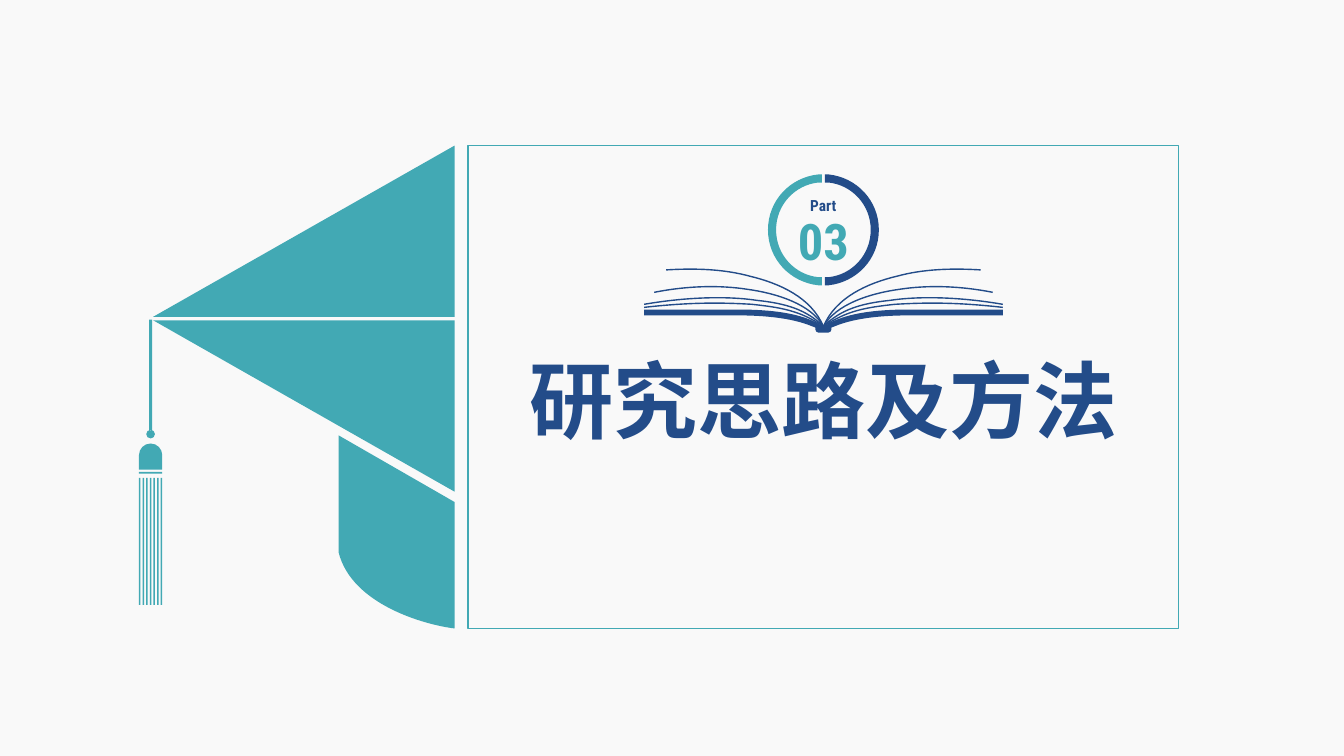
"""Build the section slide with a graduation cap, an open book and a framed title."""
from dataclasses import dataclass
from typing import Optional

from lxml.etree import Element, SubElement
from pptx import Presentation
from pptx.dml.color import RGBColor
from pptx.enum.shapes import MSO_SHAPE
from pptx.enum.text import MSO_ANCHOR, MSO_AUTO_SIZE, PP_ALIGN
from pptx.oxml.ns import qn
from pptx.util import Pt

TEAL = RGBColor(0x42, 0xA9, 0xB4)
NAVY = RGBColor(0x23, 0x4C, 0x89)
PAPER = RGBColor(0xF9, 0xF9, 0xF9)
SPINE = 588.2
ROUND = 0.55

Outline = list[tuple[float, ...]]


@dataclass
class Label:
    text: str
    x: float
    y: float
    w: float
    h: float
    size: float
    font: str
    color: RGBColor


def box(x: float, y: float, w: float, h: float) -> Outline:
    """Return the corners of a rectangle."""
    return [(x, y), (x + w, y), (x + w, y + h), (x, y + h)]


def dome(cx: float, cy: float, r: float) -> Outline:
    """Return a half circle, from its left end over the top when r is positive."""
    k = r * ROUND
    return [(cx - r, cy), (cx - r, cy - k, cx - k, cy - r, cx, cy - r),
            (cx + k, cy - r, cx + r, cy - k, cx + r, cy)]


def mirror(outline: Outline) -> Outline:
    """Reflect an outline across the book's spine."""
    return [tuple(v if i % 2 else 2 * SPINE - v for i, v in enumerate(seg)) for seg in outline]


def backward(outline: Outline) -> Outline:
    """Return the outline walked from its end to its start."""
    ends = [seg[-2:] for seg in outline]
    turned = [ends[-1]]
    for end, seg in zip(ends[-2::-1], outline[:0:-1]):
        turned.append(end if len(seg) == 2 else seg[2:4] + seg[:2] + end)
    return turned


def bend(sp, segments: Outline) -> None:
    """Join each run of three line points that belongs to a curve."""
    lines = iter(list(sp._element.iter(qn("a:lnTo"))))
    for seg in segments:
        parts = [next(lines) for _ in range(len(seg) // 2)]
        if len(parts) == 3:
            curve = Element(qn("a:cubicBezTo"))
            parts[0].addprevious(curve)
            for part in parts:
                curve.append(part[0])
                part.getparent().remove(part)


def paint(sp, fill: Optional[RGBColor] = None, line: Optional[RGBColor] = None) -> None:
    """Set fill and line, and drop the shadow."""
    sp.shadow.inherit = False
    if fill is None:
        sp.fill.background()
    else:
        sp.fill.solid()
        sp.fill.fore_color.rgb = fill
    if line is None:
        sp.line.fill.background()
    else:
        sp.line.color.rgb = line
        sp.line.width = Pt(1)


def draw(s, outlines: list[Outline], color: RGBColor, filled: bool = True) -> None:
    """Draw outlines as one filled shape or as an open stroke."""
    builder = None
    for (x, y), *segments in outlines:
        if builder is None:
            builder = s.shapes.build_freeform(Pt(x), Pt(y))
        else:
            builder.move_to(Pt(x), Pt(y))
        points = [(Pt(seg[i]), Pt(seg[i + 1])) for seg in segments for i in range(0, len(seg), 2)]
        builder.add_line_segments(points, close=filled)
    sp = builder.convert_to_shape()
    bend(sp, [seg for outline in outlines for seg in outline[1:]])
    paint(sp, color if filled else None, None if filled else color)


def write(sp, label: Label) -> None:
    """Put one centred bold run into a shape."""
    tf = sp.text_frame
    tf.margin_left = tf.margin_right = tf.margin_top = tf.margin_bottom = 0
    tf.vertical_anchor = MSO_ANCHOR.MIDDLE
    tf.word_wrap = True
    p = tf.paragraphs[0]
    p.alignment = PP_ALIGN.CENTER
    r = p.add_run()
    r.text = label.text
    r.font.size = Pt(label.size)
    r.font.bold = True
    r.font.color.rgb = label.color
    r.font.name = label.font
    SubElement(r.font._element, qn("a:ea"), typeface=label.font)


def frame(s, kind: MSO_SHAPE, x: float, y: float, w: float, h: float):
    """Add a preset shape measured in points."""
    return s.shapes.add_shape(kind, Pt(x), Pt(y), Pt(w), Pt(h))


RING = [(589.3, 124.6), (591.8, 124.6), (612, 126.7, 627.8, 143.3, 627.8, 164.2),
        (627.8, 185.1, 612, 201.6, 591.8, 203.8), (589.3, 203.8), (589.3, 198), (591.8, 198),
        (608.4, 196.4, 622, 182.2, 622, 164.2), (622, 146.2, 608.4, 132.1, 591.8, 130.4),
        (589.3, 130.4)]

CAP = [
    [(324.7, 104), (109.4, 226.3), (324.7, 226.3)],
    [(109.4, 228.8), (324.7, 351.2), (324.7, 228.8)],
    [(241.9, 394.6), (251.3, 432, 303.8, 446.4, 324.7, 448.9), (324.7, 358.6), (241.9, 311)],
]

KNOT, LEFT, WIDTH = 107.6, 99.3, 16.6
STRANDS, STRAND_WIDTH = 7, 1.1
STEP = (WIDTH - STRAND_WIDTH) / (STRANDS - 1)
TASSEL = [
    box(KNOT - 1.1, 228.4, 2.2, 79),
    dome(KNOT, 310.1, 3.1) + dome(KNOT, 310.1, -3.1)[1:],
    dome(KNOT, 325.1, WIDTH / 2) + [(LEFT + WIDTH, 335.4), (LEFT, 335.4)],
    box(LEFT, 337, WIDTH, 1.3),
] + [box(LEFT + i * STEP, 341.3, STRAND_WIDTH, 90.7) for i in range(STRANDS)]

PAGES = [
    [(576, 221, 560.9, 216.7, 540.7, 214.6), (522, 211.7, 493.2, 211.7, 460.1, 217.4)],
    [(571.7, 221.8, 557.3, 219.6, 537.1, 217.4), (514.1, 216, 491.8, 216, 460.1, 219.6)],
    [(579.6, 217.4, 555.1, 209.5, 533.5, 206.6), (515.5, 203.8, 492.5, 203.8, 467.3, 208.8)],
    [(579.6, 212.4, 556.6, 202.3, 535.7, 197.3), (517, 192.2, 496.8, 191.5, 475.9, 192.8)],
]

COVER = [
    (SPINE, 237.6), (584.6, 237.6), (583.2, 237.6, 582.5, 236.2, 582.5, 235.4),
    (582.5, 234), (576.7, 231.8), (564.5, 227.5, 547.9, 225.3, 526.3, 225.3),
    (460.1, 225.3), (460.1, 221.1), (526.3, 221.1),
    (552.2, 221.1, 570.2, 223.9, 583.2, 230.4), (586.8, 232.6), (SPINE, 232.6)]

TITLE = Label("研究思路及方法", 376, 256.7, 424.1, 65.5, 60, "Noto Sans CJK SC", NAVY)
NUMBERING = [
    Label("03", 565.2, 149.1, 46, 44.6, 36, "Roboto Condensed", TEAL),
    Label("Part", 572.2, 138.2, 31.7, 16.6, 11, "Roboto Condensed", NAVY),
]


def main() -> None:
    """Assemble and save the slide."""
    prs = Presentation()
    prs.slide_width, prs.slide_height = Pt(960), Pt(540)
    s = prs.slides.add_slide(prs.slide_layouts[6])
    paint(frame(s, MSO_SHAPE.RECTANGLE, 0, 0, 960, 540), fill=PAPER)
    draw(s, [mirror(RING)], TEAL)
    draw(s, [RING], NAVY)

    sp = frame(s, MSO_SHAPE.ROUNDED_RECTANGLE, TITLE.x, TITLE.y, TITLE.w, TITLE.h)
    sp.adjustments[0] = 0
    paint(sp)
    write(sp, TITLE)
    sp.text_frame.word_wrap = False
    sp.text_frame.auto_size = MSO_AUTO_SIZE.SHAPE_TO_FIT_TEXT
    sp.text_frame.paragraphs[0].line_spacing = 0.9
    for label in NUMBERING:
        write(s.shapes.add_textbox(Pt(label.x), Pt(label.y), Pt(label.w), Pt(label.h)), label)

    draw(s, CAP, TEAL)
    draw(s, TASSEL, TEAL)
    paint(frame(s, MSO_SHAPE.RECTANGLE, 334.3, 103.9, 507.6, 344.9), line=TEAL)
    for curves in PAGES:
        page = [(SPINE, 233.3)] + curves
        for side in (page, mirror(page)):
            draw(s, [side], NAVY, filled=False)
    draw(s, [COVER + backward(mirror(COVER))[1:]], NAVY)
    prs.save("out.pptx")


main()
